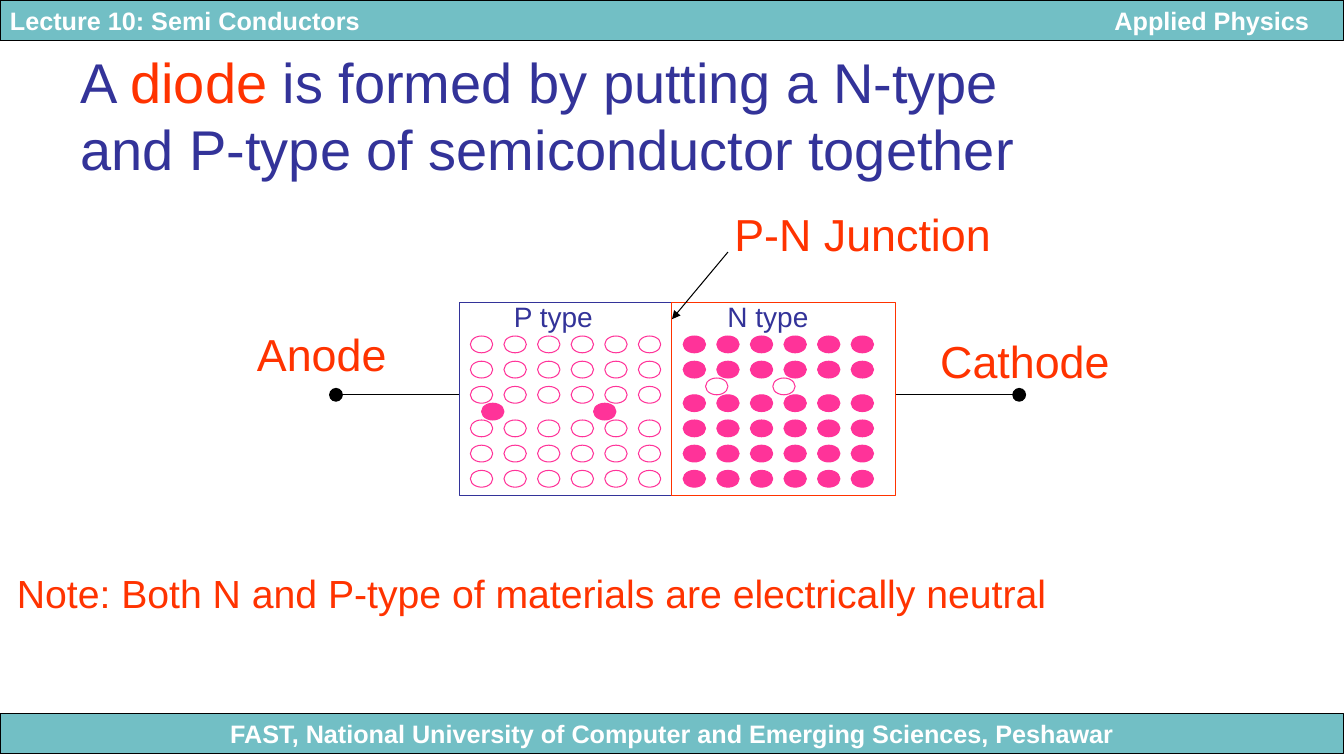
"""Slide on how a diode is formed from P-type and N-type semiconductors."""
from lxml.etree import SubElement
from pptx import Presentation
from pptx.dml.color import RGBColor
from pptx.enum.shapes import MSO_CONNECTOR, MSO_SHAPE
from pptx.enum.text import MSO_ANCHOR, PP_ALIGN
from pptx.oxml.ns import qn
from pptx.util import Pt

TEAL = RGBColor(0x72, 0xBF, 0xC5)
NAVY = RGBColor(0x33, 0x33, 0x99)
RED = RGBColor(0xFF, 0x33, 0x00)
PINK = RGBColor(0xFF, 0x33, 0x99)
BLACK = RGBColor(0, 0, 0)
WHITE = RGBColor(0xFF, 0xFF, 0xFF)


class Board:
    font = "Arial"
    stroke = Pt(0.75)

    def __init__(self, slide):
        self.shapes = slide.shapes

    def shape(self, kind, left, top, width, height, line, fill=None):
        item = self.shapes.add_shape(kind, Pt(left), Pt(top), Pt(width), Pt(height))
        item.shadow.inherit = False
        item.line.color.rgb = line
        item.line.width = self.stroke
        if fill is None:
            item.fill.background()
        else:
            item.fill.solid()
            item.fill.fore_color.rgb = fill
        return item

    def style(self, para, size, color, bold=False):
        para.font.name = self.font
        para.font.size = Pt(size)
        para.font.bold = bold
        para.font.color.rgb = color

    def bar(self, top, text, align, tab=None):
        frame = self.shape(MSO_SHAPE.RECTANGLE, 0, top, 960, 29, BLACK, TEAL).text_frame
        frame.vertical_anchor = MSO_ANCHOR.TOP
        frame.word_wrap = True
        para = frame.paragraphs[0]
        para.text = text
        para.alignment = align
        if tab:
            stops = SubElement(para._p.get_or_add_pPr(), qn("a:tabLst"))
            SubElement(stops, qn("a:tab"), pos=str(Pt(tab)), algn="r")
        self.style(para, 18, WHITE, True)

    def text(self, left, top, width, height, lines, size, color, accent=None):
        box = self.shapes.add_textbox(Pt(left), Pt(top), Pt(width), Pt(height))
        frame = box.text_frame
        frame.word_wrap = True
        for index, parts in enumerate(lines):
            para = frame.add_paragraph() if index else frame.paragraphs[0]
            self.style(para, size, color)
            for part in parts:
                run = para.add_run()
                run.text = part
                if part == accent:
                    run.font.color.rgb = RED

    def line(self, start, end, tip, kind, size="med"):
        wire = self.shapes.add_connector(MSO_CONNECTOR.STRAIGHT, *map(Pt, start + end))
        wire.line.color.rgb = BLACK
        wire.line.width = self.stroke
        SubElement(wire.line._get_or_add_ln(), qn(tip), type=kind, w=size, len=size)
        SubElement(wire._element.spPr, qn("a:effectLst"))

    def dot(self, left, top, fill):
        self.shape(MSO_SHAPE.OVAL, left, top, 16, 12, PINK, fill)

    def grid(self, left, rows, fill):
        for top in rows:
            for col in range(6):
                self.dot(left + 24 * col, top, fill)


def main():
    deck = Presentation()
    deck.slide_width, deck.slide_height = Pt(960), Pt(540)
    board = Board(deck.slides.add_slide(deck.slide_layouts[6]))

    board.bar(509.5, "FAST, National University of Computer and Emerging Sciences, Peshawar",
              PP_ALIGN.CENTER)
    board.bar(0, "Lecture 10: Semi Conductors\tApplied Physics", PP_ALIGN.LEFT, 928)
    board.text(50.5, 30.5, 692, 104,
               [["A ", "diode ", "is formed by putting a N-type"],
                ["and P-type of semiconductor together"]], 40, NAVY, "diode ")

    board.shape(MSO_SHAPE.RECTANGLE, 328, 216, 152, 138, NAVY)
    board.shape(MSO_SHAPE.RECTANGLE, 480, 216, 160, 138, RED)

    for left, top, width, height, label, size, color in (
            (512.5, 210.5, 80, 32, "N type", 20, NAVY),
            (360, 210.5, 80, 32, "P type", 20, NAVY),
            (5, 403, 760, 41, "Note: Both N and P-type of materials are electrically neutral",
             28, RED),
            (176.5, 230, 116, 46, "Anode", 32, RED),
            (664.5, 235, 145, 46, "Cathode", 32, RED),
            (517.5, 144, 208, 46, "P-N Junction", 32, RED)):
        board.text(left, top, width, height, [[label]], size, color)

    board.line((240, 282), (328, 282), "a:headEnd", "oval", "lg")
    board.line((728, 282), (640, 282), "a:headEnd", "oval", "lg")
    board.line((520, 180), (480, 228), "a:tailEnd", "triangle")

    board.grid(488, (240, 258, 282, 300, 318, 336), PINK)
    board.grid(336, (240, 258, 276, 300, 318, 336), None)
    for left, top, fill in ((344, 288, PINK), (424, 288, PINK),
                            (504, 270, None), (552, 270, None)):
        board.dot(left, top, fill)

    deck.save("out.pptx")


if __name__ == "__main__":
    main()
